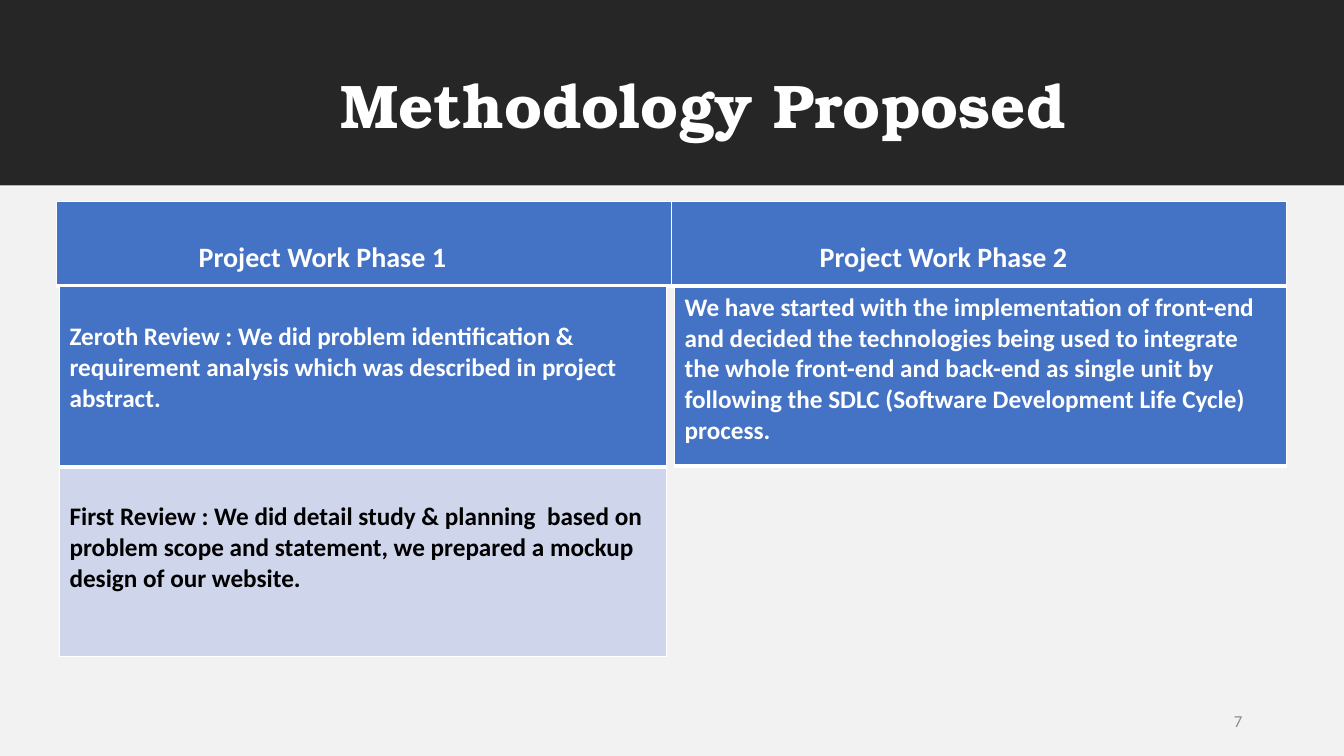
import pptx
import pptx.util
import pptx.dml.color
import pptx.enum.shapes
import pptx.enum.text
import pptx.oxml

Inches = pptx.util.Inches
Pt = pptx.util.Pt
RGBColor = pptx.dml.color.RGBColor
ALIGN = pptx.enum.text.PP_ALIGN
ANCHOR = pptx.enum.text.MSO_ANCHOR

DARK = RGBColor(0x26, 0x26, 0x26)
PALE = RGBColor(0xF2, 0xF2, 0xF2)
BLUE = RGBColor(0x44, 0x72, 0xC4)
TINT = RGBColor(0xCF, 0xD5, 0xEA)
WHITE = RGBColor(0xFF, 0xFF, 0xFF)
BLACK = RGBColor(0, 0, 0)
GRAY = RGBColor(0x8C, 0x8C, 0x8C)

WIDE, HIGH = 13.33, 7.5
SPLIT = 1.85

TITLE = {"name": "TeX Gyre Bonum", "size": Pt(44), "bold": True}
HEAD = {"name": "Calibri", "size": Pt(20), "bold": True}
BODY = {"name": "Calibri", "size": Pt(18), "bold": True}
PAGE = {"name": "Calibri", "size": Pt(12)}

ZEROTH = ("Zeroth Review : We did problem identification & requirement "
          "analysis which was described in project abstract.")
FIRST = ("First Review : We did detail study & planning  based on problem "
         "scope and statement, we prepared a mockup design of our website.")
SECOND = ("We have started with the implementation of front-end and decided "
          "the technologies being used to integrate the whole front-end and "
          "back-end as single unit by following the SDLC (Software "
          "Development Life Cycle) process.")


def add_band(slide, top, height, color):
    band = slide.shapes.add_shape(
        pptx.enum.shapes.MSO_SHAPE.RECTANGLE,
        Inches(0), Inches(top), Inches(WIDE), Inches(height))
    band.shadow.inherit = False
    band.fill.solid()
    band.fill.fore_color.rgb = color
    band.line.fill.background()


def write(para, text, style, color):
    run = para.add_run()
    run.text = text
    for name, value in style.items():
        setattr(run.font, name, value)
    run.font.color.rgb = color


def add_text(slide, box, text, style, color, frame_set, para_set):
    frame = slide.shapes.add_textbox(*map(Inches, box)).text_frame
    frame.word_wrap = True
    para = frame.paragraphs[0]
    for item, values in ((frame, frame_set), (para, para_set)):
        for name, value in values.items():
            setattr(item, name, value)
    write(para, text, style, color)


def add_edges(cell, base):
    """Draw white cell borders, with the bottom one base points wide."""
    props = cell._tc.get_or_add_tcPr()
    for side, width in (("L", 1), ("R", 1), ("T", 1), ("B", base)):
        props.append(pptx.oxml.parse_xml(
            f'<a:ln{side} xmlns:a="http://schemas.openxmlformats.org/'
            f'drawingml/2006/main" w="{Pt(width)}"><a:solidFill>'
            f'<a:srgbClr val="{WHITE}"/></a:solidFill></a:ln{side}>'))


def fill_cell(cell, text, style, fill, color, left, top, base):
    add_edges(cell, base)
    cell.fill.solid()
    cell.fill.fore_color.rgb = fill
    cell.margin_left = Inches(left)
    cell.margin_top = Inches(top)
    write(cell.text_frame.paragraphs[0], text, style, color)


def add_grid(slide, left, top, wide, heights, rows):
    """Add a table with equal columns; each row lists fill_cell arguments."""
    count = len(rows[0])
    table = slide.shapes.add_table(
        len(rows), count, Inches(left), Inches(top),
        Inches(wide), Inches(sum(heights))).table
    for col in table.columns:
        col.width = Inches(wide / count)
    for y, (height, row) in enumerate(zip(heights, rows)):
        table.rows[y].height = Inches(height)
        for x, args in enumerate(row):
            fill_cell(table.cell(y, x), *args)


def main():
    deck = pptx.Presentation()
    deck.slide_width = Inches(WIDE)
    deck.slide_height = Inches(HIGH)
    slide = deck.slides.add_slide(deck.slide_layouts[6])

    add_band(slide, 0, SPLIT - 0.01, DARK)
    add_band(slide, SPLIT, HIGH - SPLIT, PALE)
    add_text(slide, (3.28, 0.7, 8.8, 0.98), "Methodology Proposed", TITLE,
             WHITE, {"vertical_anchor": ANCHOR.TOP}, {"line_spacing": 0.9})

    add_grid(slide, 0.56, 2, 12.2, [0.84], [[
        ("Project Work Phase 1", HEAD, BLUE, WHITE, 1.41, 0.39, 3),
        ("Project Work Phase 2", HEAD, BLUE, WHITE, 1.47, 0.39, 3)]])
    add_grid(slide, 0.59, 2.84, 6.02, [1.79, 1.88], [
        [(ZEROTH, BODY, BLUE, WHITE, 0.1, 0.35, 3)],
        [(FIRST, BODY, TINT, BLACK, 0.1, 0.35, 1)]])
    add_grid(slide, 6.69, 2.85, 6.07, [1.77], [
        [(SECOND, BODY, BLUE, WHITE, 0.1, 0.05, 3)]])

    add_text(slide, (9.42, 6.95, 3, 0.4), "7", PAGE, GRAY,
             {"vertical_anchor": ANCHOR.MIDDLE}, {"alignment": ALIGN.RIGHT})
    deck.save("out.pptx")


if __name__ == "__main__":
    main()
